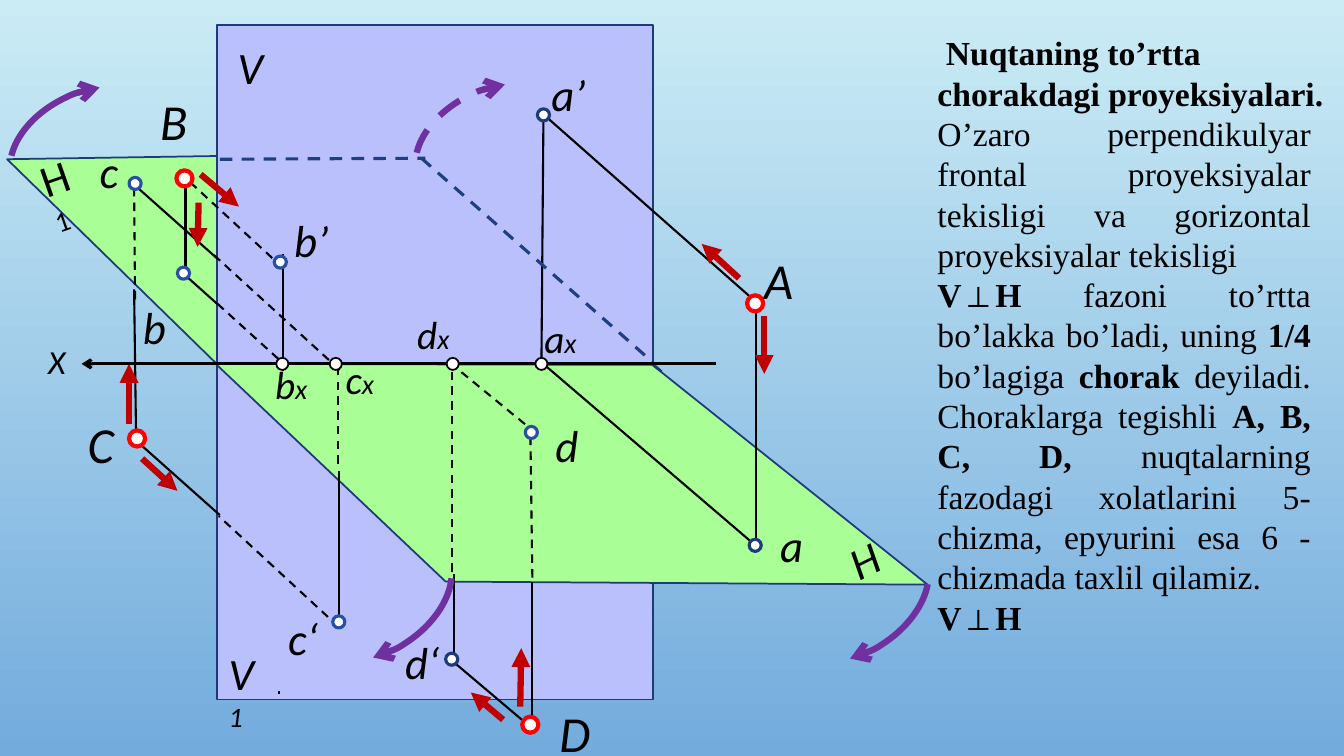
from lxml import etree
from pptx import Presentation, util as u
from pptx.dml.color import RGBColor
from pptx.enum import dml, shapes, text
from pptx.oxml import ns

SCALE = 9144
BLACK, WHITE, RED, CRIMSON = "000000", "FFFFFF", "FF0000", "C00000"
NAVY, BLUE, FOLD, VIOLET = "1D3A79", "274FA4", "1F3F83", "7030A0"
GREEN, LILAC = "A9FF95", "BAC0FC"
SERIF, SANS = "Times New Roman", "Calibri"


def px(n):
    return u.Emu(n * SCALE)


def rgb(code):
    return RGBColor.from_string(code)


class Board:
    def __init__(self, slide):
        self.slide = slide
        self.items = slide.shapes

    def back(self, top, low):
        fill = self.slide.background.fill
        fill.gradient()
        fill.gradient_angle = 270
        for stop, color in zip(fill.gradient_stops, (top, low)):
            stop.color.rgb = rgb(color)

    def stroke(self, line, color, width, dash=False, head=None):
        line.color.rgb = rgb(color)
        line.width = u.Pt(width)
        if dash:
            line.dash_style = dml.MSO_LINE.DASH
        if head:
            tail = etree.SubElement(line._get_or_add_ln(), ns.qn("a:tailEnd"))
            tail.set("type", head)

    def paint(self, item, fill, color, width):
        item.shadow.inherit = False
        item.fill.solid()
        item.fill.fore_color.rgb = rgb(fill)
        self.stroke(item.line, color, width)

    def rect(self, x, y, w, h, fill):
        item = self.items.add_shape(shapes.MSO_SHAPE.RECTANGLE, px(x), px(y), px(w), px(h))
        self.paint(item, fill, NAVY, 1.25)

    def plane(self, points, fill):
        path = self.items.build_freeform(*points[0], scale=SCALE)
        path.add_line_segments(points[1:], close=True)
        self.paint(path.convert_to_shape(), fill, NAVY, 1.25)

    def line(self, x1, y1, x2, y2, color=BLACK, width=1.5, dash=False, head=None):
        link = self.items.add_connector(
            shapes.MSO_CONNECTOR.STRAIGHT, px(x1), px(y1), px(x2), px(y2))
        self.stroke(link.line, color, width, dash, head)
        etree.SubElement(link._element.spPr, ns.qn("a:effectLst"))

    def arc(self, x, y, turn, start=173.8, dash=False):
        item = self.items.add_shape(shapes.MSO_SHAPE.ARC, px(x), px(y), px(106), px(161))
        item.adjustments[0] = start
        item.adjustments[1] = 23.3
        item.rotation = turn
        item.shadow.inherit = False
        item.fill.background()
        self.stroke(item.line, VIOLET, 4.5, dash, "arrow")

    def dot(self, x, y, size, color, width):
        item = self.items.add_shape(
            shapes.MSO_SHAPE.OVAL, px(x), px(y), px(size), px(size))
        self.paint(item, WHITE, color, width)

    def frame(self, x, y, w, h):
        box = self.items.add_textbox(px(x), px(y), px(w), px(h))
        box.text_frame.word_wrap = True
        return box

    def font(self, font, name, size, slant=False):
        font.name = name
        font.size = u.Pt(size)
        font.italic = slant
        font.color.rgb = rgb(BLACK)

    def label(self, x, y, w, h, word, size, sub="", turn=0, slant=True):
        box = self.frame(x, y, w, h)
        box.rotation = turn
        para = box.text_frame.paragraphs[0]
        self.font(para.font, SANS, size, slant)
        para.add_run().text = word
        if sub:
            run = para.add_run()
            run.text = sub
            run.font.size = u.Pt(20)

    def prose(self, x, y, w, h, paras):
        body = self.frame(x, y, w, h).text_frame
        for i, runs in enumerate(paras):
            para = body.add_paragraph() if i else body.paragraphs[0]
            self.font(para.font, SERIF, 24)
            if i:
                para.alignment = text.PP_ALIGN.JUSTIFY
                para._p.get_or_add_pPr().set("marR", str(px(23)))
            for words, bold in runs:
                run = para.add_run()
                run.text = words
                run.font.bold = bold
                if words == "⊥":
                    run.font.name = "Arial"


LINES = [
    (216, 302, 178, 268), (281, 368, 281, 252), (184, 277, 184, 182),
    (748, 540, 540, 362), (756, 305, 543, 117), (750, 546, 750, 295),
    (537, 364, 539, 117), (278, 687, 276, 687), (135, 436, 133, 287),
    (527, 722, 449, 656), (450, 660, 450, 569), (528, 722, 528, 577),
    (336, 622, 336, 467), (218, 511, 136, 438), (216, 257, 134, 184),
]
DASHES = [
    (270, 256, 178, 171), (336, 622, 217, 512), (337, 367, 211, 252),
    (134, 297, 133, 184), (276, 356, 212, 298), (532, 430, 450, 363),
    (448, 567, 448, 359), (528, 573, 526, 426), (335, 460, 335, 360),
]
FOLDS = [(218, 158, 422, 157), (418, 157, 647, 359)]
ARROWS = [
    (199, 173, 237, 205), (197, 201, 196, 245), (758, 314, 758, 371),
    (733, 276, 696, 242), (516, 701, 517, 643), (499, 714, 467, 687),
    (128, 421, 128, 361), (141, 455, 176, 487),
]
ARCS = [
    (322, 512, 55.9), (795, 513, 55.9, 175.89),
    (33, 65, 243.5), (435, 62, 243.5, 173.8, True),
]
DOTS = [
    (16, RED, 3, [(175, 169), (741, 293), (518, 711), (128, 427)]),
    (12, NAVY, 2.25, [(743, 535), (533, 108), (442, 648)]),
    (12, BLUE, 2.25, [(272, 254), (176, 265), (521, 423), (330, 611), (128, 176)]),
    (12, BLACK, 1.25, [(x, 355) for x in (531, 443, 274, 327)]),
]
LABELS = [
    (226, 34, 47, 64, "V", 32), (764, 509, 50, 64, "a", 32),
    (282, 206, 77, 64, "b’", 32), (89, 138, 54, 71, "c", 32),
    (149, 84, 47, 71, "B", 36), (748, 242, 51, 71, "A", 36),
    (537, 61, 59, 71, "a’", 32), (833, 523, 48, 64, "H", 32, "", 333.7),
    (30, 143, 54, 64, "H", 32, "1", 340.7, False),
    (132, 292, 50, 64, "b", 32), (276, 601, 69, 64, "c‘", 32),
    (77, 405, 50, 71, "C", 36), (545, 692, 50, 71, "D", 36),
    (38, 333, 50, 57, "X", 24), (541, 409, 50, 71, "d", 32),
    (392, 625, 72, 64, "d‘", 32), (217, 636, 56, 64, "V", 32, "1"),
    (530, 307, 73, 57, "a", 28, "x"), (263, 353, 57, 57, "b", 28, "x"),
    (333, 348, 60, 57, "c", 28, "x"), (404, 303, 73, 57, "d", 28, "x"),
]
PERP = [("V", True), ("⊥", False), ("H", True)]
PROSE = [
    [("\u00a0Nuqtaning to’rtta chorakdagi proyeksiyalari.", True)],
    [("O’zaro perpendikulyar frontal proyeksiyalar tekisligi va gorizontal "
      "proyeksiyalar tekisligi", False)],
    PERP + [
        (" fazoni to’rtta bo’lakka bo’ladi, uning ", False), ("1/4 ", True),
        ("bo’lagiga ", False), ("chorak ", True),
        ("deyiladi. Choraklarga tegishli ", False), ("A, B, C, D, ", True),
        ("nuqtalarning fazodagi xolatlarini 5-chizma, epyurini esa 6 - "
         "chizmada taxlil qilamiz.", False)],
    PERP,
]


def main():
    deck = Presentation()
    deck.slide_width, deck.slide_height = u.Inches(13.33), u.Inches(7.5)
    board = Board(deck.slides.add_slide(deck.slide_layouts[6]))
    board.back("CBECF5", "73ABDD")
    board.prose(920, 27, 413, 616, PROSE)
    board.plane([(7, 158), (399, 152), (656, 368), (219, 365)], GREEN)
    board.rect(215, 25, 433, 669, LILAC)
    board.plane([(214, 361), (647, 362), (920, 580), (442, 577)], GREEN)
    for ends in LINES:
        board.line(*ends)
    for ends in DASHES:
        board.line(*ends, dash=True)
    for ends in FOLDS:
        board.line(*ends, FOLD, 2.25, dash=True)
    for ends in ARROWS:
        board.line(*ends, CRIMSON, 4.5, head="triangle")
    board.line(710, 361, 81, 361, width=2.25, head="arrow")
    for curve in ARCS:
        board.arc(*curve)
    for size, color, width, spots in DOTS:
        for x, y in spots:
            board.dot(x, y, size, color, width)
    for item in LABELS:
        board.label(*item)
    deck.save("out.pptx")


if __name__ == "__main__":
    main()
